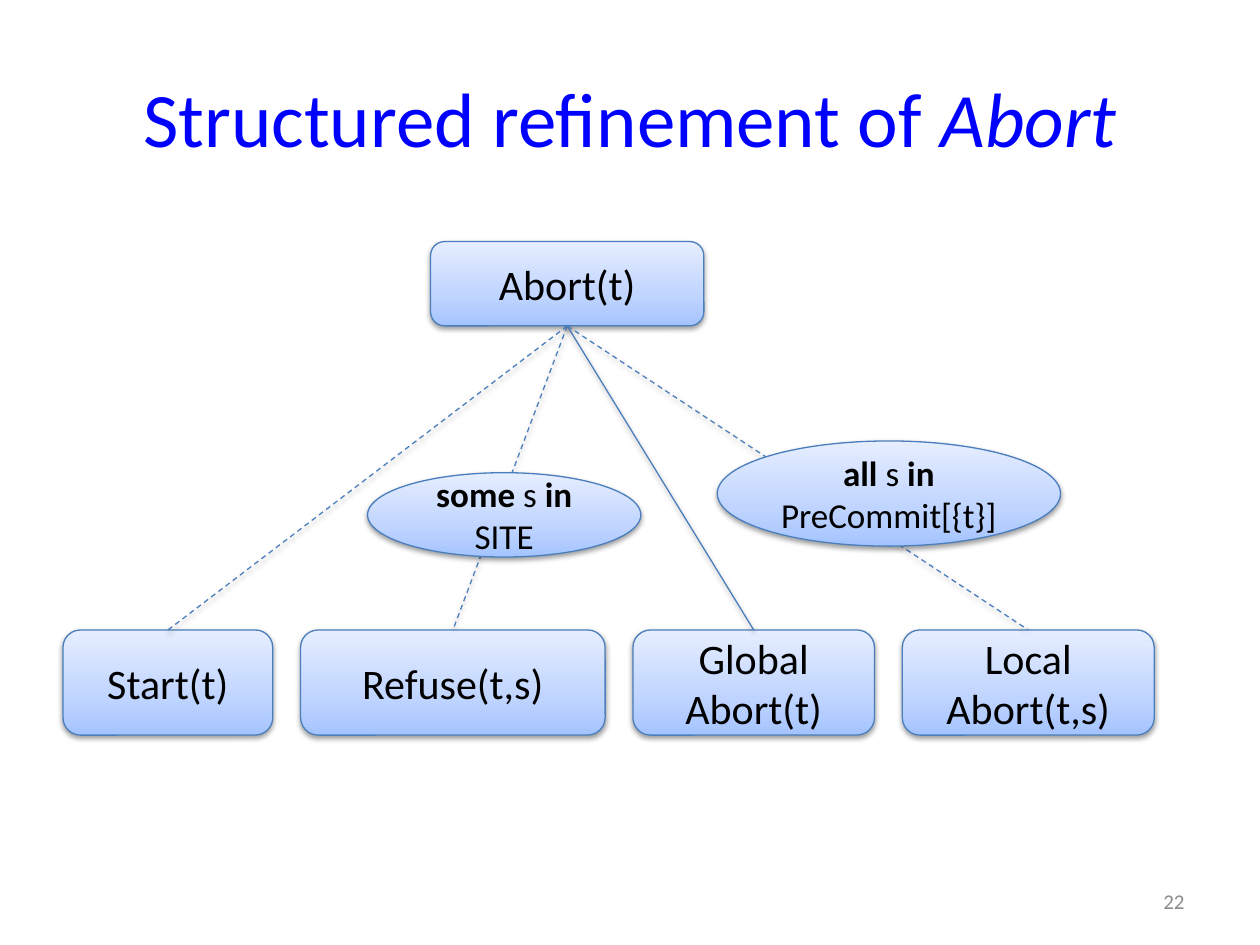
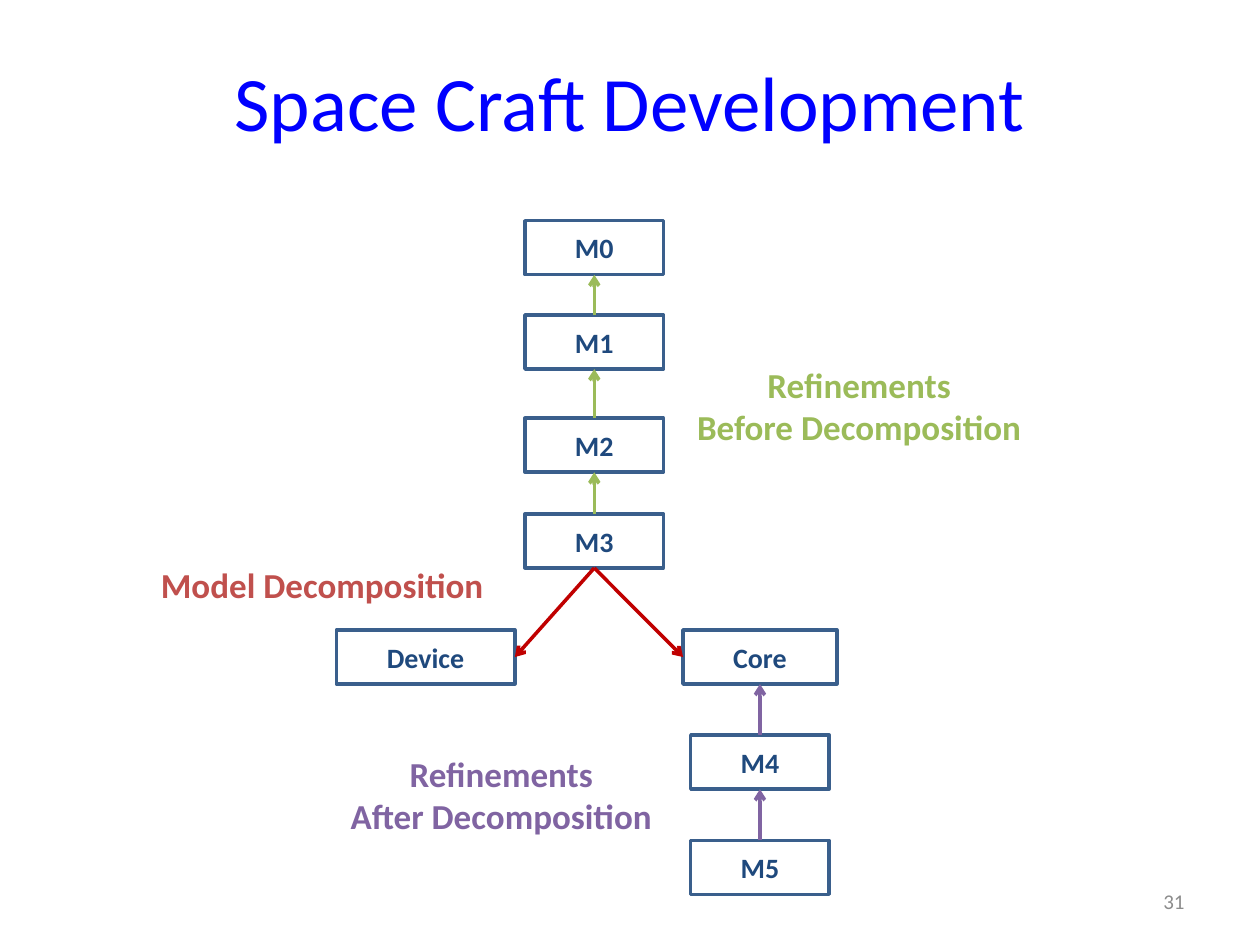
from copy import deepcopy
from itertools import pairwise

from lxml.etree import SubElement
from pptx import Presentation
from pptx.dml.color import RGBColor
from pptx.enum.dml import MSO_LINE
from pptx.enum.shapes import MSO_CONNECTOR, MSO_SHAPE
from pptx.enum.text import MSO_ANCHOR, MSO_AUTO_SIZE, PP_ALIGN
from pptx.oxml import parse_xml
from pptx.oxml.ns import nsdecls, qn
from pptx.util import Cm, Pt

FONT = "Calibri"
BLACK = "000000"
TITLE_BLUE = "0000FF"
NUMBER_GREY = "8C8C8C"
NODE_GRADIENT = [(0, "A4C4FF"), (0.35, "BFD4FF"), (1, "E6EEFF")]
NODE_LINE = "4B7EBC"
MODEL_LINE = "3A5F8C"
MODEL_TEXT = "1F497D"
GREEN, RED, PURPLE = "9BBB59", "C0504D", "8064A2"
ARROW_RED = "C00000"
TOP, LEFT, BOTTOM, RIGHT = range(4)

SHADOW = (
    f'<a:effectLst {nsdecls("a")}>'
    '<a:outerShdw blurRad="39370" dist="20320" dir="5400000" rotWithShape="0">'
    '<a:srgbClr val="000000"><a:alpha val="38000"/></a:srgbClr>'
    "</a:outerShdw></a:effectLst>"
)


def rgb(hex_colour):
    return RGBColor.from_string(hex_colour)


def style_paragraph(paragraph, size, colour, align=PP_ALIGN.CENTER, bold=None):
    paragraph.alignment = align
    font = paragraph.font
    font.name, font.size, font.bold = FONT, Pt(size), bold
    font.color.rgb = rgb(colour)


def write_lines(frame, lines, size, colour, align=PP_ALIGN.CENTER, bold=None):
    frame.vertical_anchor = MSO_ANCHOR.MIDDLE
    frame.text = "\n".join(lines)
    for paragraph in frame.paragraphs:
        style_paragraph(paragraph, size, colour, align, bold)


def add_titled_slide(deck, title_top, title, number, italic_end=""):
    slide = deck.slides.add_slide(deck.slide_layouts[5])
    heading = slide.shapes.title
    heading.left, heading.top = Cm(1.27), Cm(title_top)
    heading.width, heading.height = Cm(22.86), Cm(3.18)
    write_lines(heading.text_frame, [title], 44, TITLE_BLUE)
    if italic_end:
        ending = heading.text_frame.paragraphs[0].add_run()
        ending.text = italic_end
        ending.font.italic = True

    page = slide.shapes.add_textbox(Cm(18.2), Cm(17.65), Cm(5.93), Cm(1.02))
    page.text_frame.word_wrap = True
    write_lines(page.text_frame, [str(number)], 12, NUMBER_GREY, PP_ALIGN.RIGHT)
    return slide


def cast_shadow(item):
    item._element.spPr.append(parse_xml(SHADOW))


def add_node(slide, geometry, left, top, width, height):
    """Add a shaded, shadowed tree node without text."""
    node = slide.shapes.add_shape(
        geometry, Cm(left), Cm(top), Cm(width), Cm(height))
    node.fill.gradient()
    node.fill.gradient_angle = 90
    stop_list = node._element.spPr.find(".//" + qn("a:gsLst"))
    stop_list.insert(1, deepcopy(stop_list[0]))
    for stop, (position, colour) in zip(node.fill.gradient_stops, NODE_GRADIENT):
        stop.position = position
        stop.color.rgb = rgb(colour)
    node.line.color.rgb = rgb(NODE_LINE)
    node.line.width = Pt(0.75)
    cast_shadow(node)
    return node


def add_event(slide, text, left, top, width, height):
    event = add_node(slide, MSO_SHAPE.ROUNDED_RECTANGLE, left, top, width, height)
    write_lines(event.text_frame, [text], 24, BLACK)
    return event


def add_quantifier(slide, keyword, domain, left, top, width, height):
    """Add an oval reading "keyword s in domain" with the keywords bold."""
    oval = add_node(slide, MSO_SHAPE.OVAL, left, top, width, height)
    oval.text_frame.vertical_anchor = MSO_ANCHOR.MIDDLE
    paragraph = oval.text_frame.paragraphs[0]
    style_paragraph(paragraph, 20, BLACK)
    words = [(f"{keyword} ", True), ("s ", False), ("in ", True), (domain, False)]
    for text, bold in words:
        run = paragraph.add_run()
        run.text = text
        run.font.bold = bold


def join(slide, start, start_side, end, end_side, colour, weight):
    link = slide.shapes.add_connector(MSO_CONNECTOR.STRAIGHT, 0, 0, 0, 0)
    link.begin_connect(start, start_side)
    link.end_connect(end, end_side)
    link.line.color.rgb = rgb(colour)
    link.line.width = Pt(weight)
    return link


def add_branch(slide, parent, child, dashed):
    branch = join(slide, parent, BOTTOM, child, TOP, NODE_LINE, 0.75)
    if dashed:
        branch.line.dash_style = MSO_LINE.DASH
    cast_shadow(branch)


def add_arrow(slide, start, start_side, end, end_side, colour):
    arrow = join(slide, start, start_side, end, end_side, colour, 2)
    SubElement(arrow.line._get_or_add_ln(), qn("a:tailEnd"), type="arrow")
    SubElement(arrow._element.spPr, qn("a:effectLst"))


def add_model(slide, name, centre, top, width=2.79):
    model = slide.shapes.add_shape(
        MSO_SHAPE.RECTANGLE, Cm(centre - width / 2), Cm(top), Cm(width), Cm(1.09))
    model.shadow.inherit = False
    model.fill.background()
    model.line.color.rgb = rgb(MODEL_LINE)
    model.line.width = Pt(2)
    model.text_frame.word_wrap = False
    write_lines(model.text_frame, [name], 16, MODEL_TEXT, bold=True)
    return model


def add_stage_label(slide, lines, colour, left, top, width, height):
    label = slide.shapes.add_textbox(Cm(left), Cm(top), Cm(width), Cm(height))
    label.text_frame.word_wrap = False
    label.text_frame.auto_size = MSO_AUTO_SIZE.SHAPE_TO_FIT_TEXT
    write_lines(label.text_frame, lines, 20, colour, bold=True)


def add_refinements(slide, models, colour):
    """Point each model at the more abstract one above it."""
    for abstract, concrete in pairwise(models):
        add_arrow(slide, concrete, TOP, abstract, BOTTOM, colour)


def build_abort_slide(deck):
    slide = add_titled_slide(deck, 0.76, "Structured refinement of ", 22, "Abort")
    abort = add_event(slide, "Abort(t)", 8.68, 4.87, 5.51, 1.7)

    left, gap = 1.27, 0.56
    for text, width, dashed in [
        ("Start(t)", 4.23, True),
        ("Refuse(t,s)", 6.14, True),
        ("Global Abort(t)", 4.87, False),
        ("Local Abort(t,s)", 5.08, True),
    ]:
        event = add_event(slide, text, left, 12.7, width, 2.12)
        add_branch(slide, abort, event, dashed)
        left += width + gap

    add_quantifier(slide, "all", "PreCommit[{t}]", 14.46, 8.89, 6.92, 2.12)
    add_quantifier(slide, "some", "SITE", 7.41, 9.53, 5.51, 1.7)


def build_space_craft_slide(deck):
    slide = add_titled_slide(deck, 0.43, "Space Craft Development", 31)
    main_centre, core_centre = 11.98, 15.32
    split_top, core_pitch = 12.7, 2.12

    before = [add_model(slide, f"M{i}", main_centre, top)
              for i, top in enumerate([4.45, 6.35, 8.43, 10.36])]
    device = add_model(slide, "Device", 8.58, split_top, 3.6)
    core = add_model(slide, "Core", core_centre, split_top, 3.1)
    after = [core] + [
        add_model(slide, name, core_centre, split_top + row * core_pitch)
        for row, name in enumerate(["M4", "M5"], start=1)]

    add_refinements(slide, before, GREEN)
    add_refinements(slide, after, PURPLE)
    add_arrow(slide, before[-1], BOTTOM, core, LEFT, ARROW_RED)
    add_arrow(slide, before[-1], BOTTOM, device, RIGHT, ARROW_RED)

    add_stage_label(slide, ["Refinements", "Before Decomposition"], GREEN,
                    13.76, 7.2, 7.12, 1.96)
    add_stage_label(slide, ["Model Decomposition"], RED, 2.96, 11.22, 7.07, 1.11)
    add_stage_label(slide, ["Refinements", "After Decomposition"], PURPLE,
                    6.78, 15.03, 6.65, 1.96)


def main():
    deck = Presentation()
    deck.slide_width, deck.slide_height = Cm(25.4), Cm(19.05)
    build_abort_slide(deck)
    build_space_craft_slide(deck)
    deck.save("out.pptx")


if __name__ == "__main__":
    main()
